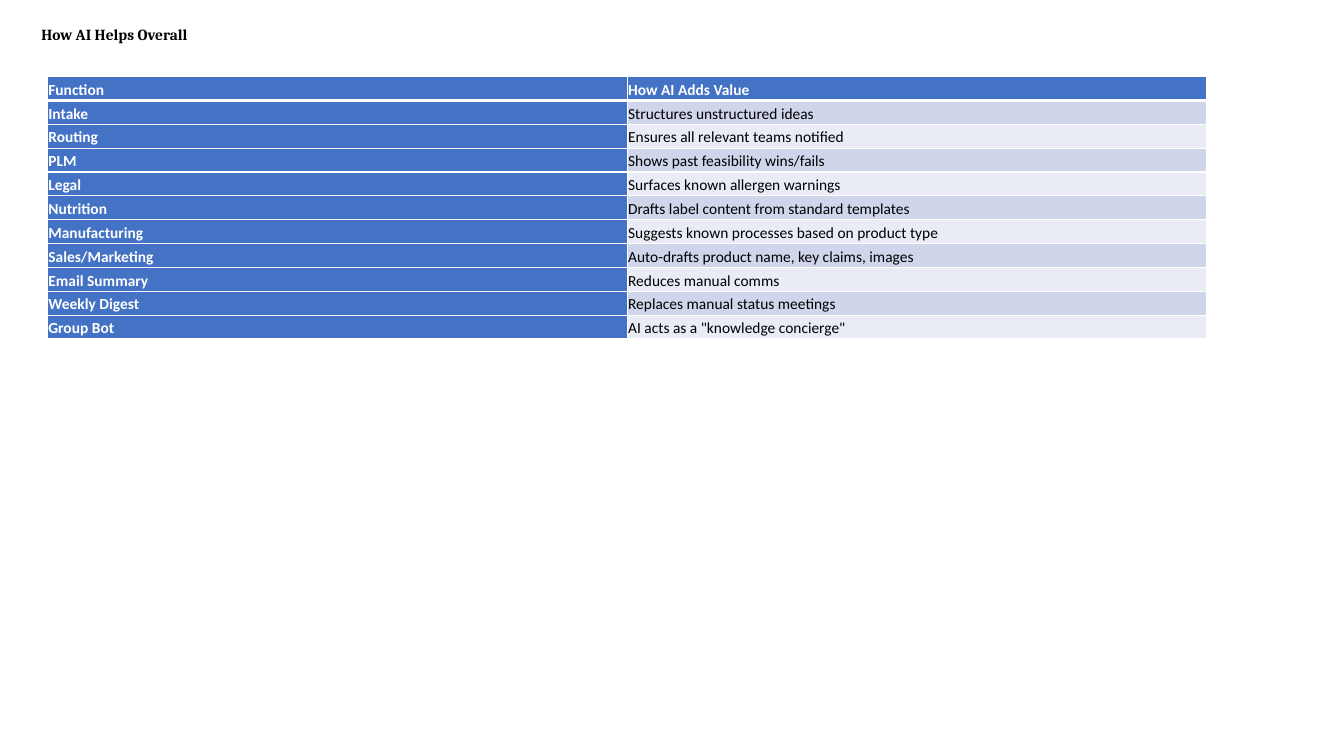
from lxml import etree
from pptx import Presentation
from pptx import util as u
from pptx.dml.color import RGBColor
from pptx.enum import text
from pptx.oxml import ns

WHITE = RGBColor(0xFF, 0xFF, 0xFF)
BLACK = RGBColor(0, 0, 0)
BLUE = RGBColor(0x44, 0x72, 0xC4)
BAND_DARK = RGBColor(0xCF, 0xD5, 0xEA)
BAND_LIGHT = RGBColor(0xE9, 0xEB, 0xF5)

BENEFITS = [
    ("Function", "How AI Adds Value"),
    ("Intake", "Structures unstructured ideas"),
    ("Routing", "Ensures all relevant teams notified"),
    ("PLM", "Shows past feasibility wins/fails"),
    ("Legal", "Surfaces known allergen warnings"),
    ("Nutrition", "Drafts label content from standard templates"),
    ("Manufacturing", "Suggests known processes based on product type"),
    ("Sales/Marketing", "Auto-drafts product name, key claims, images"),
    ("Email Summary", "Reduces manual comms"),
    ("Weekly Digest", "Replaces manual status meetings"),
    ("Group Bot", 'AI acts as a "knowledge concierge"'),
]


def add_run(paragraph, words, font_name, color, bold):
    run = paragraph.add_run()
    run.text = words
    run.font.name = font_name
    run.font.size = u.Pt(11)
    run.font.bold = bold
    run.font.color.rgb = color


def set_borders(cell, widths):
    properties = cell._tc.get_or_add_tcPr()
    for side, width in widths.items():
        line = etree.SubElement(properties, ns.qn(f"a:ln{side}"), w=str(u.Pt(width)))
        solid = etree.SubElement(line, ns.qn("a:solidFill"))
        etree.SubElement(solid, ns.qn("a:srgbClr"), val=str(WHITE))


def add_heading(slide, left, top, width, height):
    heading = slide.shapes.title
    heading.left, heading.top, heading.width, heading.height = left, top, width, height
    frame = heading.text_frame
    frame.word_wrap = True
    frame.auto_size = text.MSO_AUTO_SIZE.NONE
    frame.vertical_anchor = text.MSO_ANCHOR.MIDDLE
    paragraph = frame.paragraphs[0]
    paragraph.alignment = text.PP_ALIGN.LEFT
    add_run(paragraph, "How AI Helps Overall", "Cambria", BLACK, True)


def fill_cell(cell, words, row, column):
    is_label = row == 0 or column == 0
    top = 3 if row == 1 else 1
    bottom = 3 if row == 0 else 1
    set_borders(cell, {"L": 1, "R": 1, "T": top, "B": bottom})
    cell.fill.solid()
    band = BAND_DARK if row % 2 else BAND_LIGHT
    cell.fill.fore_color.rgb = BLUE if is_label else band
    cell.margin_left = cell.margin_right = u.Inches(0.01)
    cell.margin_top = cell.margin_bottom = u.Inches(0.01)
    cell.vertical_anchor = text.MSO_ANCHOR.MIDDLE
    paragraph = cell.text_frame.paragraphs[0]
    paragraph.line_spacing = 1.15
    paragraph.space_after = u.Pt(10)
    add_run(paragraph, words, "Calibri", WHITE if is_label else BLACK, is_label)


def add_benefits(slide, left, top, width, height):
    benefits = slide.shapes.add_table(len(BENEFITS), 2, left, top, width, height).table
    for row, entry in enumerate(BENEFITS):
        for column, words in enumerate(entry):
            fill_cell(benefits.cell(row, column), words, row, column)


def main():
    deck = Presentation()
    deck.slide_width = u.Inches(13.33)
    deck.slide_height = u.Inches(7.5)
    slide = deck.slides.add_slide(deck.slide_layouts.get_by_name("Title Only"))
    add_benefits(slide, u.Inches(0.47), u.Inches(0.76), u.Inches(11.5), u.Inches(2.4))
    add_heading(slide, u.Inches(0.31), u.Inches(0.09), u.Inches(13.33), u.Inches(0.5))
    deck.save("out.pptx")


if __name__ == "__main__":
    main()
